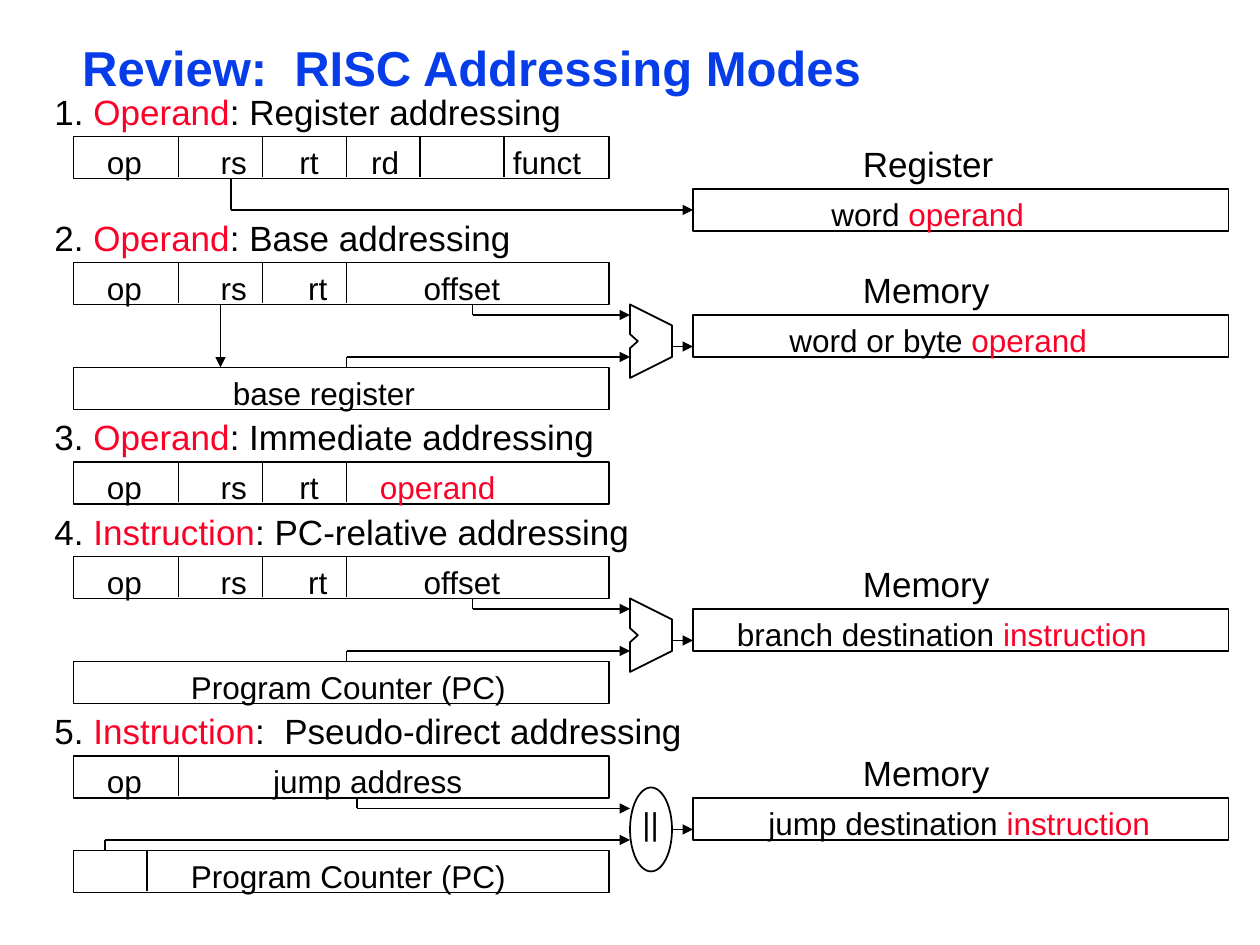
from lxml import etree
from pptx import Presentation
from pptx.dml.color import RGBColor
from pptx.enum.shapes import MSO_CONNECTOR, MSO_SHAPE
from pptx.enum.text import MSO_ANCHOR, PP_ALIGN
from pptx.oxml.ns import qn
from pptx.util import Pt

STRAIGHT = MSO_CONNECTOR.STRAIGHT
RECTANGLE = MSO_SHAPE.RECTANGLE
OVAL = MSO_SHAPE.OVAL
LEFT = PP_ALIGN.LEFT
MIDDLE = MSO_ANCHOR.MIDDLE

COLORS = {"title": "063DE8", "text": "000000", "accent": "FC0128"}
FONT = "Arial"
HEADING_SIZE, LABEL_SIZE = 20, 18

FORMAT_X, TARGET_X, BAR_W, BAR_H = 42, 396, 306, 24
DIVIDER_H, LABEL_H, HEADING_H = 23, 29, 31
HEADING_RISE = 30
UNIT_X, UNIT_W = 360, 24
ADDER = [(0, 0), (24, 12), (24, 30), (0, 42), (0, 25), (4.5, 21), (0, 17)]
ADDER_WIRES = [
    [(270, 24), (270, 30), (360, 30)],
    [(198, 60), (198, 54), (360, 54)],
    [(384, 48), (396, 48)],
]
OFFSET_FIELDS = {
    "dividers": [102, 150, 198],
    "fields": [("op\trs\trt\toffset", "text")],
    "tabs": [65, 115, 181],
    "fields_w": 244,
}

MODES = [
    {
        "top": 78,
        "heading": ("1. ", "Operand", ": Register addressing"),
        "heading_w": 336,
        "dividers": [102, 150, 198, 240, 288],
        "fields": [("op\trs\trt\trd\tfunct", "text")],
        "tabs": [65, 110, 151, 232],
        "fields_w": 290,
        "target": (30, "Register", "word ", "operand", 468, 129),
        "wires": [[(132, 24), (132, 42), (396, 42)]],
    },
    {
        **OFFSET_FIELDS,
        "top": 150,
        "heading": ("2. ", "Operand", ": Base addressing"),
        "heading_w": 276,
        "register": (60, "base register", 126, 123),
        "target": (30, "Memory", "word or byte ", "operand", 444, 190),
        "unit": "adder",
        "wires": ADDER_WIRES + [[(126, 24), (126, 60)]],
    },
    {
        "top": 264,
        "heading": ("3. ", "Operand", ": Immediate addressing"),
        "heading_w": 330,
        "dividers": [102, 150, 198],
        "fields": [("op\trs\trt\t", "text"), ("operand", "accent")],
        "tabs": [65, 110, 156],
        "fields_w": 240,
    },
    {
        **OFFSET_FIELDS,
        "top": 318,
        "heading": ("4. ", "Instruction", ": PC-relative addressing"),
        "heading_w": 384,
        "register": (60, "Program Counter (PC)", 102, 200),
        "target": (30, "Memory", "branch destination ", "instruction", 414, 254),
        "unit": "adder",
        "wires": ADDER_WIRES,
    },
    {
        "top": 432,
        "heading": ("5. ", "Instruction", ":  Pseudo-direct addressing"),
        "heading_w": 396,
        "dividers": [102],
        "fields": [("op\tjump address", "text")],
        "tabs": [95],
        "fields_w": 221,
        "register": (54, "Program Counter (PC)", 102, 200),
        "register_dividers": [84],
        "target": (24, "Memory", "jump destination ", "instruction", 432, 238),
        "unit": "concatenation",
        "wires": [
            [(204, 24), (204, 30), (360, 30)],
            [(60, 54), (60, 48), (360, 48)],
            [(384, 42), (396, 42)],
        ],
    },
]


def color(name):
    return RGBColor.from_string(COLORS[name])


def add_runs(paragraph, runs, size, bold=False):
    for wording, tone in runs:
        run = paragraph.add_run()
        run.text = wording
        run.font.name = FONT
        run.font.size = Pt(size)
        run.font.bold = bold
        run.font.color.rgb = color(tone)


def add_label(x, y, width, height, runs, size, tabs=()):
    frame = slide.shapes.add_textbox(Pt(x), Pt(y), Pt(width), Pt(height)).text_frame
    frame.word_wrap = True
    paragraph = frame.paragraphs[0]
    if tabs:
        stops = etree.SubElement(paragraph._p.get_or_add_pPr(), qn("a:tabLst"))
        for position in tabs:
            etree.SubElement(stops, qn("a:tab"), pos=str(Pt(position)), algn="l")
    add_runs(paragraph, runs, size)


def outline(shape):
    shape.shadow.inherit = False
    shape.fill.background()
    shape.line.color.rgb = color("text")
    shape.line.width = Pt(1)


def add_outline(kind, x, y, width, height):
    outline(slide.shapes.add_shape(kind, Pt(x), Pt(y), Pt(width), Pt(height)))


def add_line(start, end, arrow=False):
    line = slide.shapes.add_connector(STRAIGHT, *map(Pt, start + end))
    line.line.color.rgb = color("text")
    line.line.width = Pt(1)
    if arrow:
        etree.SubElement(line.line._get_or_add_ln(), qn("a:tailEnd"), type="triangle")
    etree.SubElement(line._element.spPr, qn("a:effectLst"))


def add_bar(x, y, dividers=()):
    add_outline(RECTANGLE, x, y, BAR_W, BAR_H)
    for divider in dividers:
        add_line((divider, y), (divider, y + DIVIDER_H))


def add_unit(kind, top):
    if kind == "adder":
        points = [(Pt(UNIT_X + x), Pt(top + 24 + y)) for x, y in ADDER]
        builder = slide.shapes.build_freeform(*points[0])
        builder.add_line_segments(points[1:], close=True)
        outline(builder.convert_to_shape())
    else:
        add_outline(OVAL, UNIT_X, top + 18, UNIT_W, 48)
        add_label(UNIT_X, top + 24, UNIT_W, LABEL_H, [("||", "text")], LABEL_SIZE)


def add_mode(mode):
    top = mode["top"]
    heading = zip(mode["heading"], ("text", "accent", "text"))
    add_label(24, top - HEADING_RISE, mode["heading_w"], HEADING_H, heading, HEADING_SIZE)
    add_bar(FORMAT_X, top, mode["dividers"])
    add_label(54, top, mode["fields_w"], LABEL_H, mode["fields"], LABEL_SIZE, mode["tabs"])
    if "register" in mode:
        drop, name, x, width = mode["register"]
        add_bar(FORMAT_X, top + drop, mode.get("register_dividers", []))
        add_label(x, top + drop, width, LABEL_H, [(name, "text")], LABEL_SIZE)
    if "target" in mode:
        drop, place, content, role, x, width = mode["target"]
        y = top + drop
        add_bar(TARGET_X, y)
        add_label(486, y - HEADING_RISE, 114, HEADING_H, [(place, "text")], HEADING_SIZE)
        add_label(x, y, width, LABEL_H, [(content, "text"), (role, "accent")], LABEL_SIZE)
    if "unit" in mode:
        add_unit(mode["unit"], top)
    for wire in mode.get("wires", []):
        corners = [(x, top + y) for x, y in wire]
        for start, end in zip(corners, corners[1:]):
            add_line(start, end, arrow=end == corners[-1])


presentation = Presentation()
presentation.slide_width, presentation.slide_height = Pt(720), Pt(540)
slide = presentation.slides.add_slide(presentation.slide_layouts[5])

title = slide.shapes.title
title.left, title.top, title.width, title.height = Pt(42), Pt(24), Pt(642), Pt(33)
title_frame = title.text_frame
title_frame.margin_left = title_frame.margin_right = Pt(5)
title_frame.margin_top = title_frame.margin_bottom = Pt(2)
title_frame.vertical_anchor = MIDDLE
title_line = title_frame.paragraphs[0]
title_line.alignment = LEFT
title_line.line_spacing = 0.87
add_runs(title_line, [("Review:  RISC Addressing Modes", "title")], 28, bold=True)

for mode in MODES:
    add_mode(mode)

presentation.save("out.pptx")
